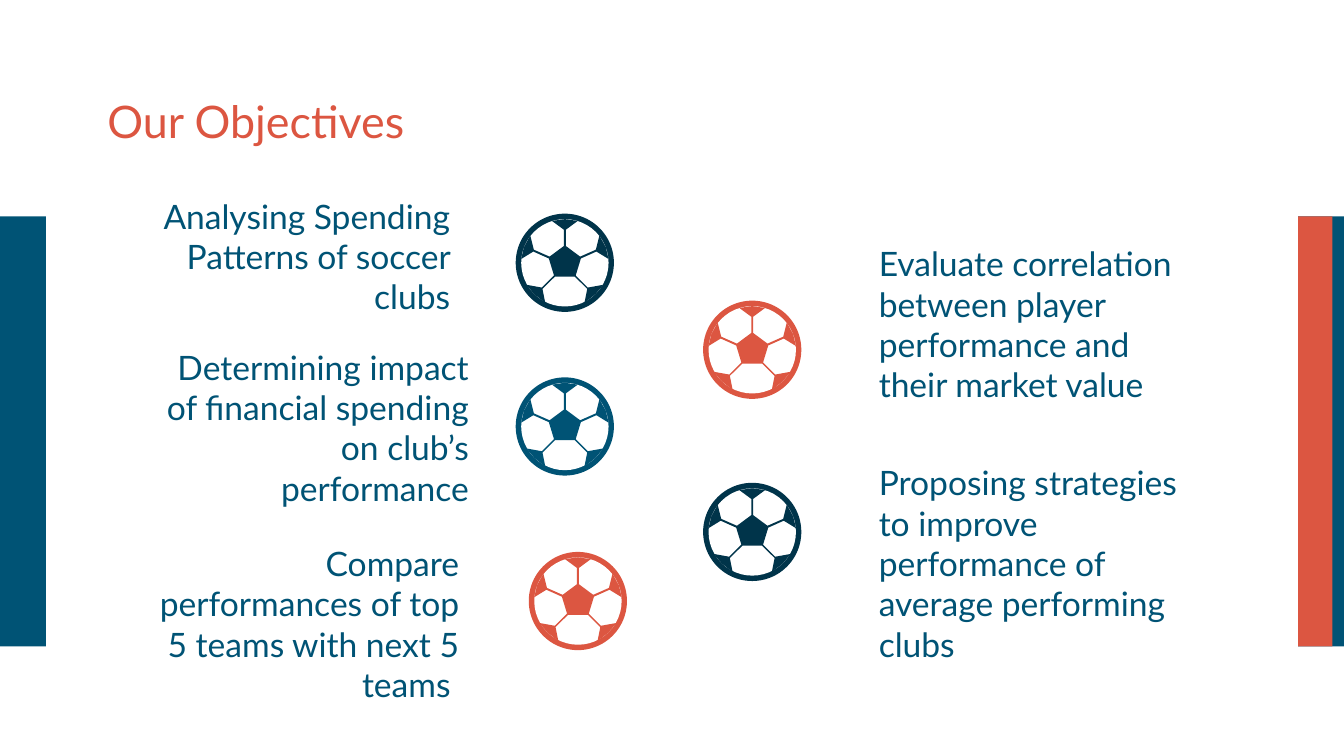
from pptx import Presentation
from pptx.dml.color import RGBColor
from pptx.enum.shapes import MSO_SHAPE as Preset
from pptx.enum.text import MSO_ANCHOR as Anchor, MSO_AUTO_SIZE as AutoSize, PP_ALIGN as Align
from pptx.util import Pt

COLORS = {"navy": "00344A", "blue": "005375", "red": "DC5641", "white": "FFFFFF"}
FONT = "Lato"
BALL_SIZE = 52.6
RIM = 2.9

# Left half of the patches and seams, from the top, in points from the ball's centre
HALF_PATTERN = [
    (-6.9, -22.4), (-0.5, -17.7), (-0.5, -9), (-8.2, -3.3), (-16.6, -7), (-18.5, -14.6),
    (-21.9, -8.4), (-23.4, -2), (-16.9, -6), (-8.6, -2.3), (-5.8, 6.8), (-12.3, 13.3),
    (-20.6, 11.8), (-16.4, 16.8), (-10.5, 21.5), (-12, 14), (-5.3, 7.4),
]

TITLE = ("Our Objectives", (50.4, 49, 635, 31))
# Text, text box (left, top, width, height), alignment, ball centre, ball colour
OBJECTIVES = [
    ("Analysing Spending Patterns of soccer clubs",
     (67.6, 121.7, 180.7, 31), Align.RIGHT, (302.6, 140.8), "navy"),
    ("Determining impact of financial spending on club’s performance",
     (77.6, 213.4, 180.7, 31), Align.RIGHT, (302.6, 228.5), "blue"),
    ("Compare performances of top 5 teams with next 5 teams ",
     (72.4, 304.8, 180.7, 58.3), Align.RIGHT, (309.6, 322), "red"),
    ("Evaluate correlation between player performance and their market value",
     (463.7, 158, 180.7, 31), Align.LEFT, (403, 187.4), "red"),
    ("Proposing strategies to improve performance of average performing clubs",
     (463.7, 272.5, 180.7, 58.3), Align.LEFT, (403, 285), "navy"),
]


def paint(shape, color):
    shape.shadow.inherit = False
    shape.fill.solid()
    shape.fill.fore_color.rgb = RGBColor.from_string(COLORS[color])
    shape.line.fill.background()


def add_preset(shapes, preset, box, color):
    paint(shapes.add_shape(preset, *map(Pt, box)), color)


def add_text(slide, text, box, size, color, align=Align.LEFT):
    text_box = slide.shapes.add_textbox(*map(Pt, box))
    frame = text_box.text_frame
    frame.word_wrap = True
    frame.auto_size = AutoSize.NONE
    frame.vertical_anchor = Anchor.MIDDLE
    frame.margin_left = frame.margin_right = Pt(7.2)
    frame.margin_top = frame.margin_bottom = Pt(7.2)
    paragraph = frame.paragraphs[0]
    paragraph.alignment = align
    run = paragraph.add_run()
    run.text = text
    run.font.name = FONT
    run.font.size = Pt(size)
    run.font.color.rgb = RGBColor.from_string(COLORS[color])


def add_ball(slide, box, color):
    left, top, size, _ = box
    shapes = slide.shapes.add_group_shape().shapes
    add_preset(shapes, Preset.OVAL, box, color)
    inner = size - 2 * RIM
    add_preset(shapes, Preset.OVAL, (left + RIM, top + RIM, inner, inner), "white")

    center_x, center_y = left + size / 2, top + size / 2
    scale = size / BALL_SIZE
    mirrored = [(-x, y) for x, y in reversed(HALF_PATTERN)]
    points = [(Pt(center_x + x * scale), Pt(center_y + y * scale))
              for x, y in [(0, -inner / 2 / scale)] + HALF_PATTERN + mirrored]
    builder = shapes.build_freeform(*points[0])
    builder.add_line_segments(points[1:], close=True)
    paint(builder.convert_to_shape(), color)


def add_side_bars(slide, box):
    left, top, width, height = box
    bar = 24.6
    red_left = left + width - bar
    for bar_left, bar_width, color in [
        (left, bar, "blue"), (red_left, bar, "blue"), (red_left, 18.4, "red"),
    ]:
        add_preset(slide.shapes, Preset.RECTANGLE, (bar_left, top, bar_width, height), color)


def add_objective(slide, text, box, align, ball_center, ball_color):
    add_text(slide, text, box, 18, "blue", align)
    x, y = ball_center
    radius = BALL_SIZE / 2
    add_ball(slide, (x - radius, y - radius, BALL_SIZE, BALL_SIZE), ball_color)


def main():
    presentation = Presentation()
    presentation.slide_width = Pt(720)
    presentation.slide_height = Pt(405)
    slide = presentation.slides.add_slide(presentation.slide_layouts[6])
    add_side_bars(slide, (0, 116, 720, 230.4))
    title, title_box = TITLE
    add_text(slide, title, title_box, 24, "red")
    for objective in OBJECTIVES:
        add_objective(slide, *objective)
    presentation.save("out.pptx")


if __name__ == "__main__":
    main()
